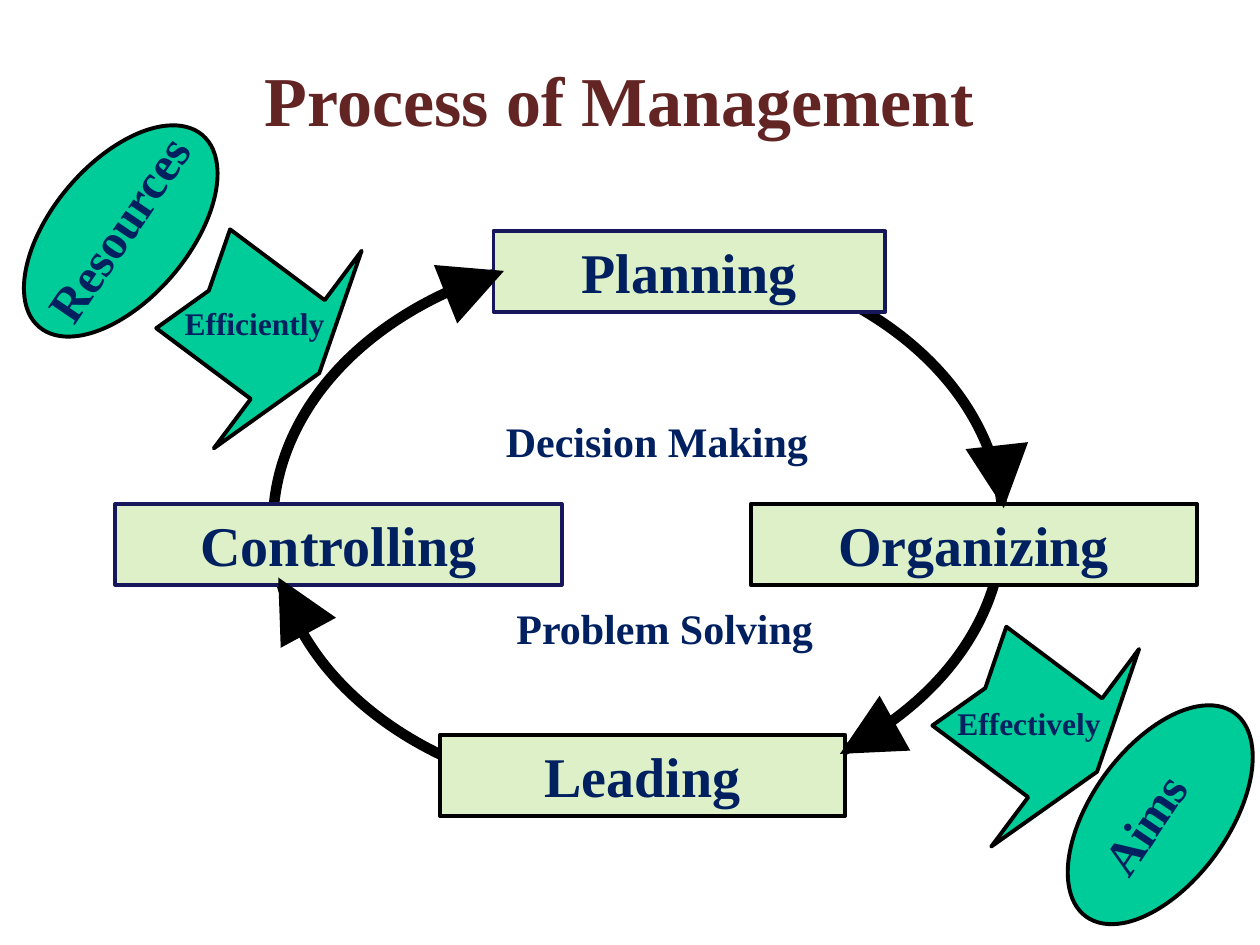
import pptx
import pptx.dml.color
import pptx.enum.shapes
import pptx.enum.text
import pptx.oxml
import pptx.oxml.ns
import pptx.util

Pt = pptx.util.Pt
Kind = pptx.enum.shapes.MSO_SHAPE
Align = pptx.enum.text.PP_ALIGN
Anchor = pptx.enum.text.MSO_ANCHOR

COLS, ROWS = 120, 90
HUES = {
    "title": "632523",
    "text": "002060",
    "box": "DDF0C8",
    "edge": "17175C",
    "green": "00CC99",
    "black": "000000",
    "white": "FFFFFF",
}


def shade(name):
    return pptx.dml.color.RGBColor.from_string(HUES[name])


class Deck:
    font = {"name": "Times New Roman", "bold": True}
    frame = {"word_wrap": True, "auto_size": pptx.enum.text.MSO_AUTO_SIZE.NONE}

    def __init__(self):
        self.show = pptx.Presentation()
        self.show.slide_width = pptx.util.Inches(10)
        self.show.slide_height = pptx.util.Inches(7.5)
        self.slide = self.show.slides.add_slide(self.show.slide_layouts[5])
        self.shapes = self.slide.shapes

    def grid(self, *cells):
        sizes = (self.show.slide_width / COLS, self.show.slide_height / ROWS)
        return [round(cell * sizes[i % 2]) for i, cell in enumerate(cells)]

    def words(self, shape, text, size, hue="text", align=Align.LEFT, **extra):
        frame = shape.text_frame
        for key, value in {**self.frame, **extra}.items():
            setattr(frame, key, value)
        para = frame.paragraphs[0]
        para.text = text
        para.alignment = align
        for key, value in {**self.font, "size": Pt(size)}.items():
            setattr(para.font, key, value)
        para.font.color.rgb = shade(hue)

    def title(self, text, cells):
        shape = self.shapes.title
        for key, value in zip(("left", "top", "width", "height"), self.grid(*cells)):
            setattr(shape, key, value)
        self.words(shape, text, 40, "title", Align.CENTER,
                   vertical_anchor=Anchor.TOP, margin_top=Pt(8))

    def form(self, kind, cells, fill="green", edge="black", width=2.25, turn=0):
        shape = self.shapes.add_shape(kind, *self.grid(*cells))
        shape.shadow.inherit = False
        shape.rotation = turn
        shape.fill.solid()
        shape.fill.fore_color.rgb = shade(fill)
        shape.line.color.rgb = shade(edge)
        shape.line.width = Pt(width)
        return shape

    def step(self, text, cells, edge):
        shape = self.form(Kind.RECTANGLE, cells, "box", edge)
        self.words(shape, text, 32, align=Align.CENTER, vertical_anchor=Anchor.MIDDLE)

    def block(self, cells):
        shape = self.form(Kind.NOTCHED_RIGHT_ARROW, cells, turn=36.8)
        shape.adjustments[0] = 0.5
        shape.adjustments[1] = 0.25

    def label(self, text, cells, size, turn=0, **extra):
        shape = self.shapes.add_textbox(*self.grid(*cells))
        shape.rotation = turn
        self.words(shape, text, size, **extra)

    def arrow(self, ends):
        link = self.shapes.add_connector(
            pptx.enum.shapes.MSO_CONNECTOR.STRAIGHT, *self.grid(*ends))
        link.line.color.rgb = shade("black")
        link.line.width = Pt(12)
        props = link.element.spPr
        space = pptx.oxml.ns.nsdecls("a")
        tail = pptx.oxml.parse_xml(f'<a:tailEnd {space} type="triangle"/>')
        props.find(pptx.oxml.ns.qn("a:ln")).append(tail)
        props.append(pptx.oxml.parse_xml(f"<a:effectLst {space}/>"))


def main():
    deck = Deck()
    deck.title("Process of Management", (8, 4, 102, 15))
    deck.form(Kind.OVAL, (26, 24, 69.5, 52), "white", width=6)

    for text, left, top, width, edge in (
        ("Planning", 47, 22, 37.3, "edge"),
        ("Organizing", 71.5, 48, 42.5, "black"),
        ("Leading", 41.9, 70, 38.6, "black"),
        ("Controlling", 11, 48, 42.5, "edge"),
    ):
        deck.step(text, (left, top, width, 7.7), edge)

    for ends in (
        (44, 27.4, 48, 25.8),
        (28.9, 59.4, 26.5, 55),
        (85, 69, 80, 71.8),
        (95, 43, 95.6, 48.4),
    ):
        deck.arrow(ends)

    deck.label("Decision Making", (47, 39, 34, 6), 24)
    deck.label("Problem Solving", (48, 56.8, 33, 6), 24)

    deck.block((90.8, 57.2, 15.2, 23.5))
    deck.form(Kind.OVAL, (104, 65.6, 13, 24), turn=36.1)
    deck.label("Aims", (97, 73.3, 26.2, 6.8), 28, 304, margin_left=Pt(35))
    deck.label("Effectively", (90, 66.5, 18, 4.8), 18)

    deck.form(Kind.OVAL, (5, 10, 13, 24), turn=40.4)
    deck.label("Resources", (-0.6, 17.3, 25, 6.8), 28, 304)
    deck.block((16.9, 19.3, 15, 23.5))
    deck.label("Efficiently", (16.4, 28.4, 18, 4.8), 18)

    deck.show.save("out.pptx")


if __name__ == "__main__":
    main()
